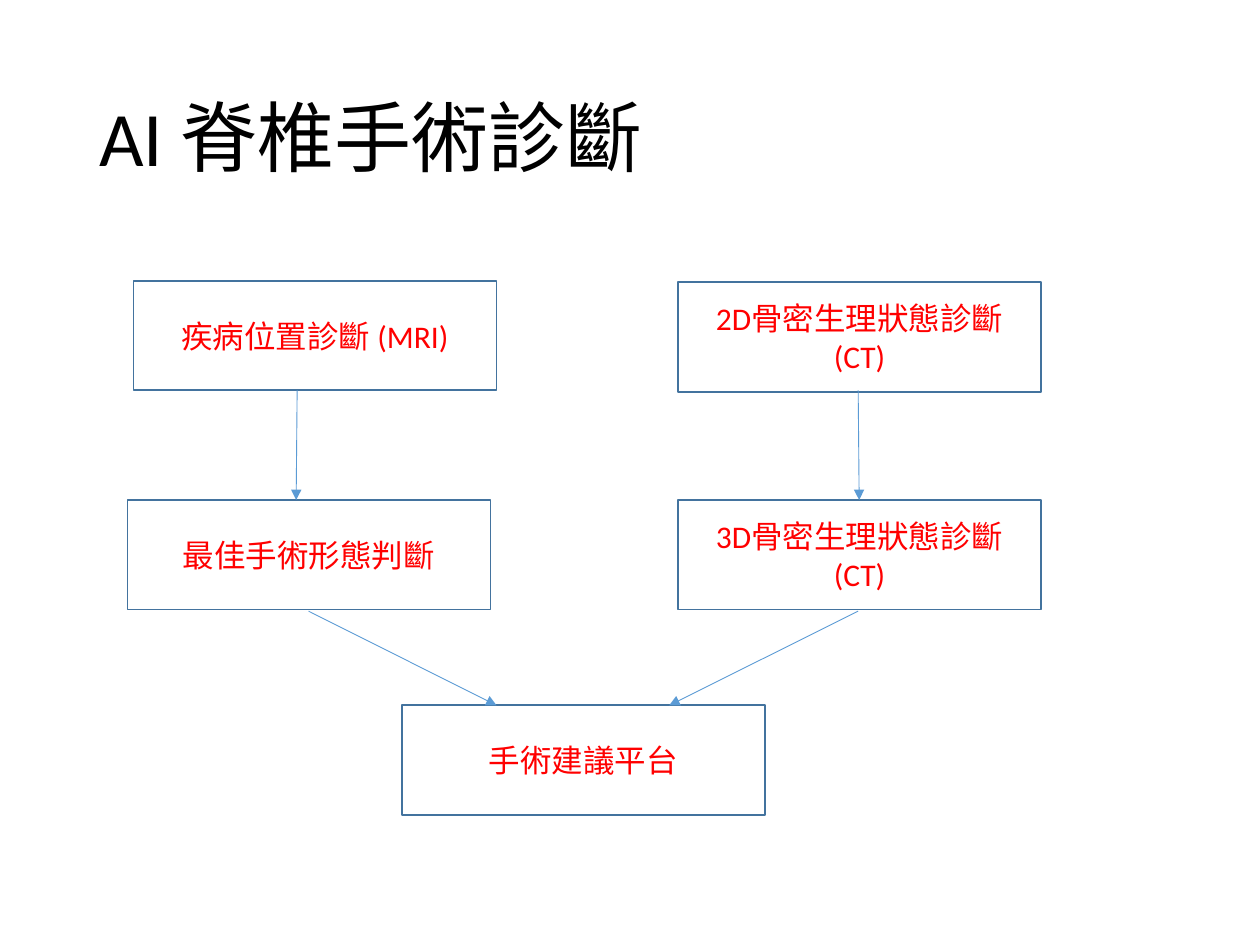
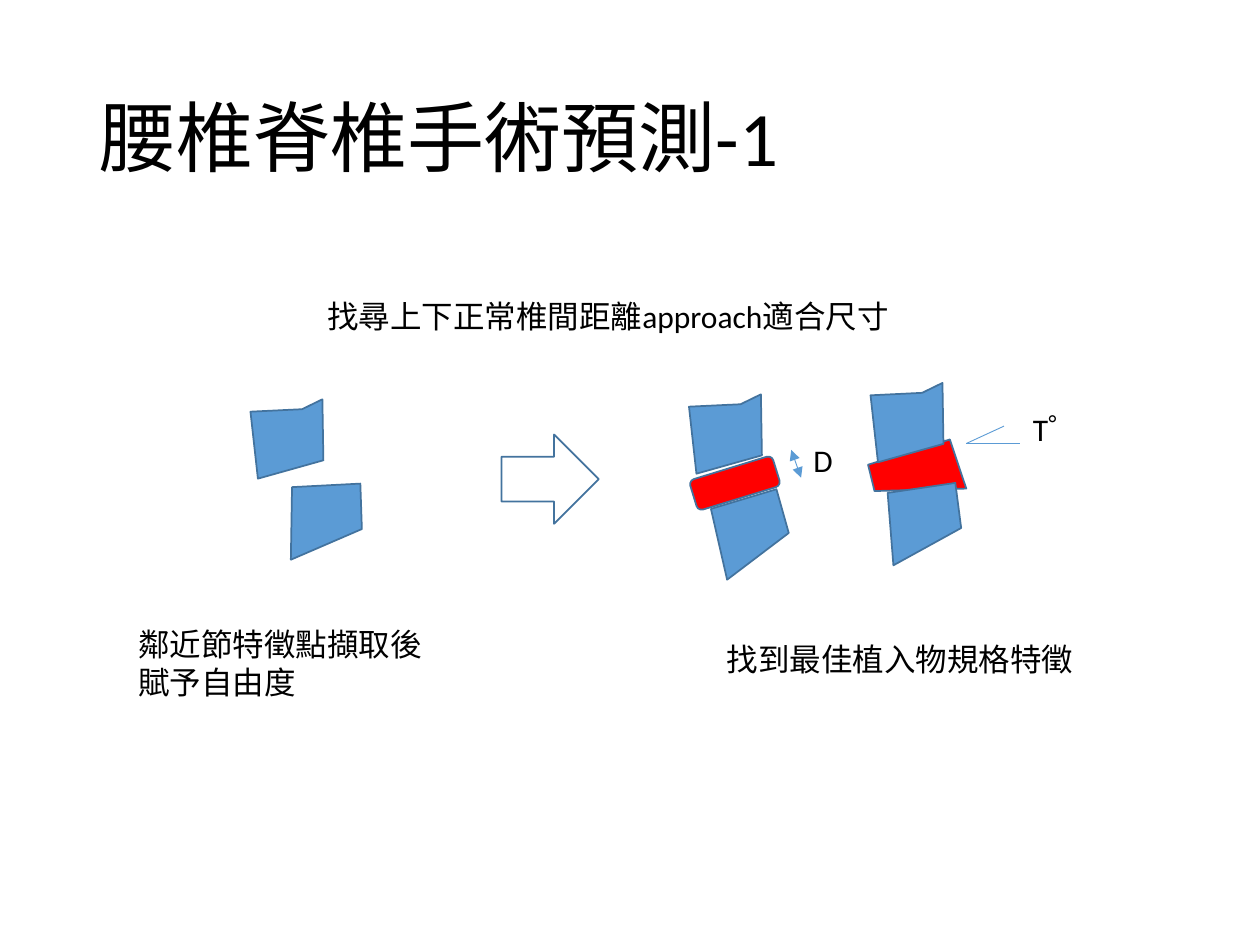
from dataclasses import dataclass

from lxml.etree import SubElement
from pptx import Presentation
from pptx.dml.color import RGBColor
from pptx.enum.shapes import MSO_CONNECTOR as Connector, MSO_SHAPE as Preset
from pptx.enum.text import MSO_ANCHOR as Anchor, PP_ALIGN as Align
from pptx.oxml.ns import qn
from pptx.util import Cm, Pt


@dataclass(frozen=True)
class Theme:
    font: str = "Calibri"
    cjk_font: str = "Noto Sans CJK SC"
    ink: RGBColor = RGBColor(0x00, 0x00, 0x00)
    red: RGBColor = RGBColor(0xFF, 0x00, 0x00)
    blue: RGBColor = RGBColor(0x5B, 0x9B, 0xD5)
    outline: RGBColor = RGBColor(0x43, 0x73, 0x9E)
    title_size: Pt = Pt(44)
    body_size: Pt = Pt(18)
    outline_width: Pt = Pt(1)
    arrow_width: Pt = Pt(0.5)


class Deck:
    """Holds the theme and the slide being drawn; lengths are in centimetres."""

    def __init__(self, theme):
        self.theme = theme
        self.file = Presentation()
        self.file.slide_width, self.file.slide_height = Cm(25.4), Cm(19.05)
        self.slide = None

    def new_slide(self, title):
        self.slide = self.file.slides.add_slide(self.file.slide_layouts[6])
        heading = self.text(title, 1.75, 1.02, 21.9, 3.68, self.theme.title_size)
        heading.vertical_anchor = Anchor.MIDDLE
        heading.paragraphs[0].line_spacing = 0.9

    def set_font(self, paragraph, size, color):
        font = paragraph.font
        font.name, font.size = self.theme.font, size
        font.color.rgb = color

    def text(self, words, left, top, width, height, size=None):
        frame = self.slide.shapes.add_textbox(
            Cm(left), Cm(top), Cm(width), Cm(height)).text_frame
        frame.word_wrap = True
        frame.text = words
        self.set_font(frame.paragraphs[0], size or self.theme.body_size, self.theme.ink)
        return frame

    def paint(self, shape, fill=None):
        shape.shadow.inherit = False
        if fill is None:
            shape.fill.background()
        else:
            shape.fill.solid()
            shape.fill.fore_color.rgb = fill
        shape.line.color.rgb = self.theme.outline
        shape.line.width = self.theme.outline_width

    def preset(self, kind, left, top, width, height, fill=None, rotation=0):
        shape = self.slide.shapes.add_shape(
            kind, Cm(left), Cm(top), Cm(width), Cm(height))
        self.paint(shape, fill)
        shape.rotation = rotation
        return shape

    def step(self, words, left, top):
        frame = self.preset(Preset.RECTANGLE, left, top, 7.32, 2.21).text_frame
        frame.word_wrap = True
        frame.vertical_anchor = Anchor.MIDDLE
        frame.text = words
        label = frame.paragraphs[0]
        label.alignment = Align.CENTER
        self.set_font(label, self.theme.body_size, self.theme.red)

    def outline(self, points, left, top, fill, rotation=0, parent=None):
        first, *rest = [(Cm(left + x), Cm(top + y)) for x, y in points]
        builder = (parent or self.slide).shapes.build_freeform(*first)
        builder.add_line_segments(rest, close=True)
        shape = builder.convert_to_shape()
        self.paint(shape, fill)
        shape.rotation = rotation

    def line(self, start, end, heads=()):
        connector = self.slide.shapes.add_connector(
            Connector.STRAIGHT, *map(Cm, start + end))
        connector.line.color.rgb = self.theme.blue
        connector.line.width = self.theme.arrow_width
        properties = connector._element.spPr
        for head in heads:
            SubElement(properties.find(qn("a:ln")), qn(f"a:{head}"), type="triangle")
        SubElement(properties, qn("a:effectLst"))

    def save(self):
        self.file.save("out.pptx")


# Vertebra and implant outlines, measured from their own top left corner
UPPER_VERTEBRA = [(0, 0.25), (1.04, 0.2), (1.45, 0), (1.47, 1.23), (0.15, 1.6)]
LOWER_VERTEBRA = [(0, 0.28), (0.2, 1.73), (1.52, 0.9), (1.35, 0)]
WEDGE_IMPLANT = [(0, 0.51), (0.13, 1.04), (1.98, 0.99), (1.65, 0)]


def vertebra_pair(deck, upper, lower, tilt):
    pair = deck.slide.shapes.add_group_shape()
    deck.outline(UPPER_VERTEBRA, *upper, deck.theme.blue, parent=pair)
    deck.outline(LOWER_VERTEBRA, *lower, deck.theme.blue, tilt, pair)


def diagnosis_flow(deck):
    deck.new_slide("AI 脊椎手術診斷")

    # Steps
    for words, left, top in [
        ("疾病位置診斷 (MRI)", 2.69, 5.66),
        ("2D骨密生理狀態診斷 (CT)", 13.67, 5.69),
        ("最佳手術形態判斷", 2.57, 10.08),
        ("3D骨密生理狀態診斷 (CT)", 13.67, 10.08),
        ("手術建議平台", 8.1, 14.22),
    ]:
        deck.step(words, left, top)

    # Flow arrows
    for start, end in [
        ((5.99, 7.87), (5.97, 10.08)),
        ((17.3, 7.87), (17.32, 10.08)),
        ((6.22, 12.32), (10.01, 14.22)),
        ((17.3, 12.32), (13.49, 14.22)),
    ]:
        deck.line(start, end, ["tailEnd"])


def surgery_prediction(deck):
    theme = deck.theme
    deck.new_slide("腰椎脊椎手術預測-1")

    # Implants lie behind the vertebrae
    deck.preset(Preset.ROUNDED_RECTANGLE, 13.94, 9.42, 1.75, 0.64, theme.red, 342.9)
    deck.outline(WEDGE_IMPLANT, 17.5, 8.86, theme.red)

    # Vertebrae before and after
    vertebra_pair(deck, (5.05, 8.05), (5.79, 9.65), 8.8)
    vertebra_pair(deck, (13.89, 7.95), (14.38, 9.91), 355)
    vertebra_pair(deck, (17.55, 7.72), (17.86, 9.7), 3.3)
    deck.preset(Preset.RIGHT_ARROW, 10.11, 8.76, 1.96, 1.8)

    # Distance D and angle T
    deck.line((15.95, 9.07), (16.15, 9.63), ["headEnd", "tailEnd"])
    deck.text("D", 16.15, 8.76, 0.91, 1.02)
    for end in [(20.24, 8.59), (20.57, 8.94)]:
        deck.line((19.48, 8.94), end)
    angle = deck.text("T", 20.57, 8.15, 1.47, 1.02)
    degree = angle.paragraphs[0].add_run()
    degree.text = "゜"
    degree.font.name = theme.cjk_font

    # Captions
    deck.text("鄰近節特徵點擷取後\v賦予自由度", 2.54, 12.47, 6.27, 2.57)
    deck.text("找到最佳植入物規格特徵", 14.4, 12.78, 7.57, 1.02)
    deck.text("找尋上下正常椎間距離approach適合尺寸", 6.35, 5.87, 11.94, 1.02)


def main():
    deck = Deck(Theme())
    diagnosis_flow(deck)
    surgery_prediction(deck)
    deck.save()


if __name__ == "__main__":
    main()
